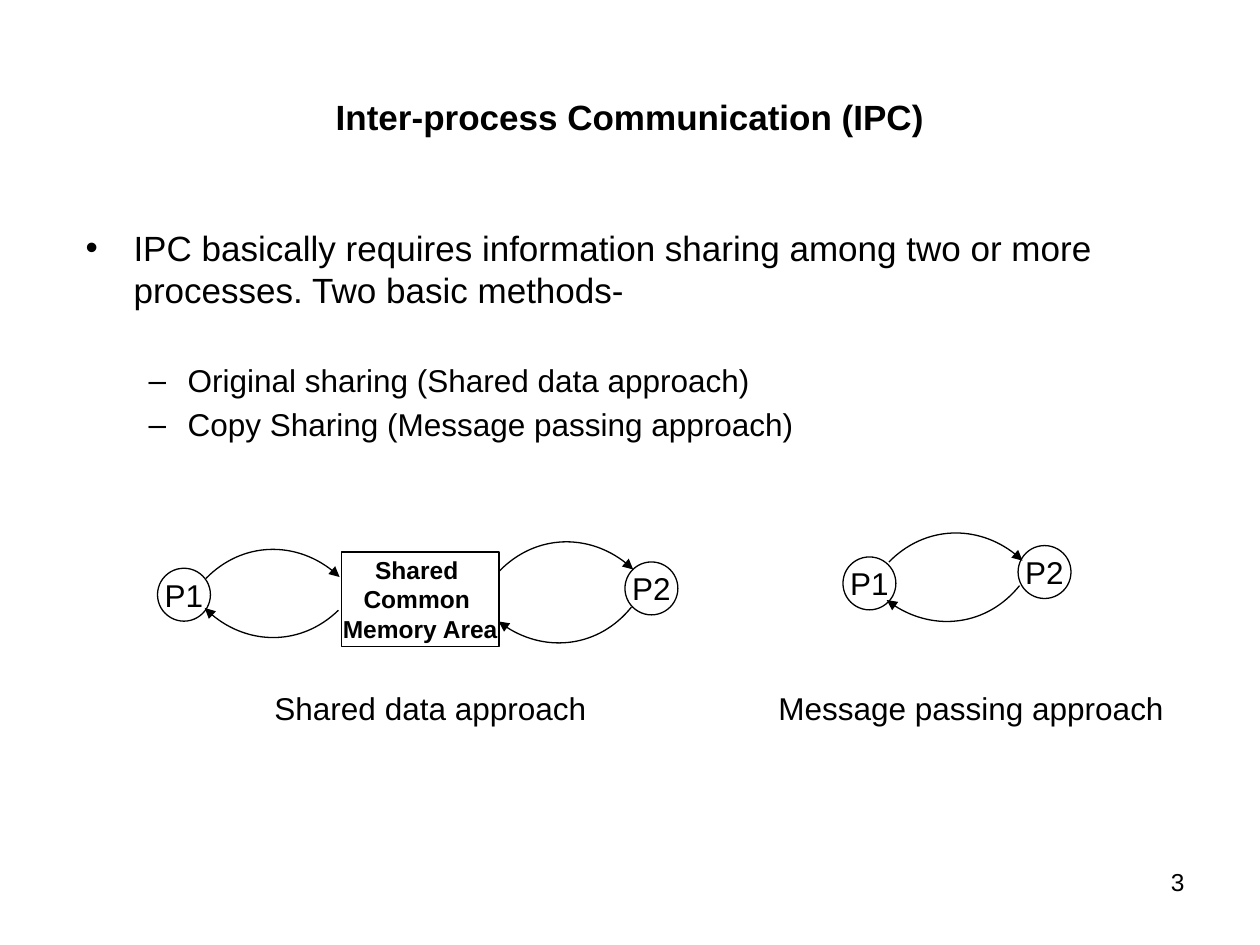
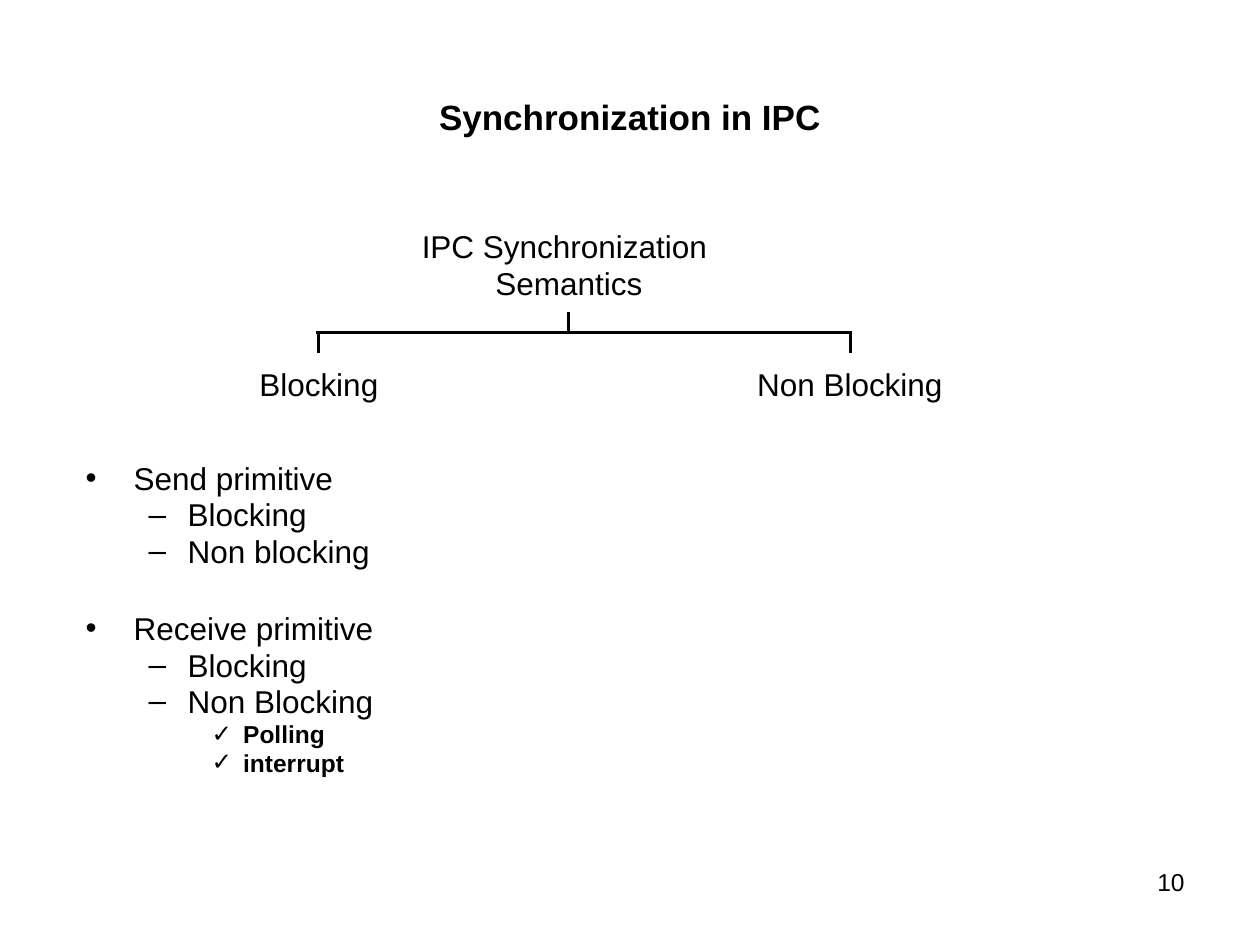
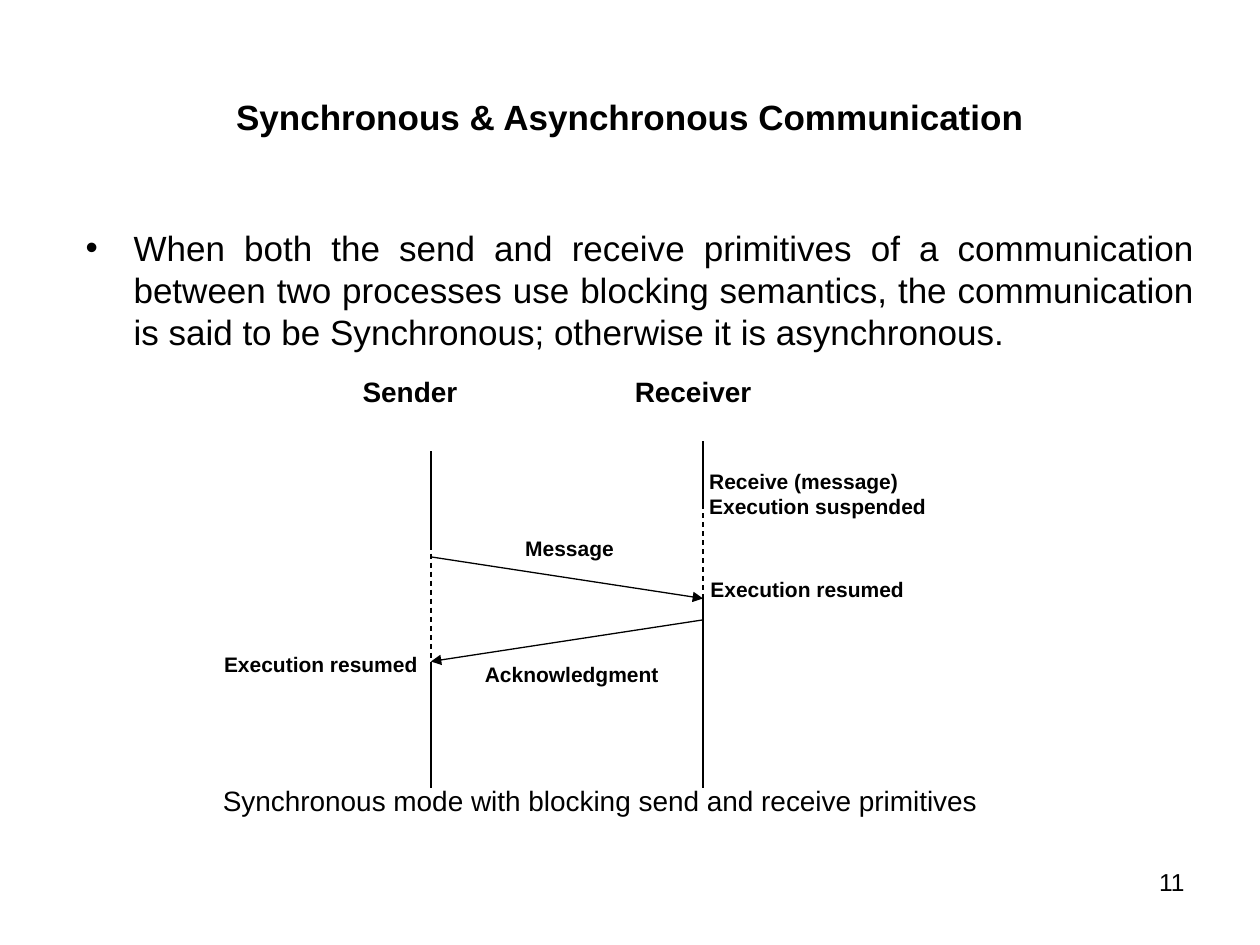
import pptx
import pptx.util
import pptx.dml.color
import pptx.enum.dml
import pptx.enum.shapes
import pptx.enum.text
import pptx.oxml
import pptx.oxml.ns

Inches = pptx.util.Inches
Pt = pptx.util.Pt
ALIGN = pptx.enum.text.PP_ALIGN
ANCHOR = pptx.enum.text.MSO_ANCHOR
FIT = pptx.enum.text.MSO_AUTO_SIZE
SHAPE = pptx.enum.shapes.MSO_SHAPE
qn = pptx.oxml.ns.qn

# Bullet sign, text indent and hanging indent of each list level
LEVELS = [("\u2022", 0.38, 0.38), ("\u2013", 0.81, 0.31), ("\u2713", 1.25, 0.25)]


def color(value):
    return pptx.dml.color.RGBColor.from_string(value)


def add_child(parent, tag, **attributes):
    child = parent.makeelement(qn(tag), attributes)
    parent.append(child)
    return child


class Deck:
    font = "Arial"
    ink = "000000"
    thin = 0.75
    circle = 0.42
    arc = 0.75

    def __init__(self):
        self.file = pptx.Presentation()
        self.file.slide_width = Inches(10)
        self.file.slide_height = Inches(7.5)
        self.page = None

    def span(self, para, text, size, bold=False):
        span = para.add_run()
        span.text = text
        span.font.name = self.font
        span.font.size = Pt(size)
        span.font.bold = bold
        span.font.color.rgb = color(self.ink)

    def lines(self, frame, texts, size, bold=False, align=ALIGN.LEFT):
        for index, text in enumerate(texts):
            para = frame.add_paragraph() if index else frame.paragraphs[0]
            para.alignment = align
            self.span(para, text, size, bold)

    def place(self, box, left, top, width, height):
        box.left, box.top = Inches(left), Inches(top)
        box.width, box.height = Inches(width), Inches(height)

    def new_page(self, title, number):
        self.page = self.file.slides.add_slide(self.file.slide_layouts[1])
        box = self.page.shapes.title
        self.place(box, 0.5, 0.3, 9, 1.25)
        box.text_frame.auto_size = FIT.NONE
        box.text_frame.vertical_anchor = ANCHOR.MIDDLE
        self.lines(box.text_frame, [title], 20, True, ALIGN.CENTER)
        box = self.page.shapes.add_textbox(
            Inches(7.17), Inches(6.83), Inches(2.33), Inches(0.52))
        box.text_frame.word_wrap = True
        self.lines(box.text_frame, [number], 14, align=ALIGN.RIGHT)

    def bullets(self, items, spacing=1.0, align=ALIGN.LEFT, inset=0.05):
        """Each item: level, text, size, bold, extra space before in points."""
        box = self.page.placeholders[1]
        self.place(box, 0.58, 1.75, 9, 4.95)
        frame = box.text_frame
        frame.auto_size = FIT.NONE
        frame.margin_top = Inches(inset)
        for index, (level, text, size, bold, gap) in enumerate(items):
            para = frame.add_paragraph() if index else frame.paragraphs[0]
            para.level = level
            para.alignment = align
            para.line_spacing = spacing
            para.space_before = Pt(size * 0.2 + gap)
            sign, indent, hanging = LEVELS[level]
            properties = para._p.get_or_add_pPr()
            properties.set("marL", str(Inches(indent)))
            properties.set("indent", str(-Inches(hanging)))
            add_child(properties, "a:buFont", typeface=self.font)
            add_child(properties, "a:buChar", char=sign)
            self.span(para, text, size, bold)

    def label(self, left, top, width, height, texts, size, bold=False,
              align=ALIGN.LEFT, wrap=False):
        box = self.page.shapes.add_textbox(
            Inches(left), Inches(top), Inches(width), Inches(height))
        box.text_frame.word_wrap = wrap
        box.text_frame.auto_size = FIT.SHAPE_TO_FIT_TEXT
        self.lines(box.text_frame, texts, size, bold, align)
        return box

    def outline(self, shape):
        shape.shadow.inherit = False
        shape.fill.background()
        shape.line.color.rgb = color(self.ink)
        shape.line.width = Pt(self.thin)

    def node(self, kind, left, top, width, height, texts, size, bold=False):
        shape = self.page.shapes.add_shape(
            kind, Inches(left), Inches(top), Inches(width), Inches(height))
        self.outline(shape)
        shape.text_frame.word_wrap = False
        shape.text_frame.vertical_anchor = ANCHOR.MIDDLE
        self.lines(shape.text_frame, texts, size, bold, ALIGN.CENTER)

    def process(self, left, top, name):
        self.node(SHAPE.OVAL, left, top, self.circle, self.circle, [name], 18)

    def arrowhead(self, line):
        add_child(line._get_or_add_ln(), "a:tailEnd", type="triangle")

    def arc_arrow(self, left, top, rotation):
        """A quarter circle, drawn as one Bezier curve and then turned."""
        radius, pull = self.arc, self.arc * 0.55
        points = [(pull, 0), (radius, radius - pull), (radius, radius)]
        builder = self.page.shapes.build_freeform(
            Inches(left), Inches(top), scale=1.0)
        builder.add_line_segments(
            [(Inches(left + x), Inches(top + y)) for x, y in points], close=False)
        shape = builder.convert_to_shape()
        outline_path = shape._element.spPr.find(".//" + qn("a:path"))
        segments = outline_path.findall(qn("a:lnTo"))
        curve = add_child(outline_path, "a:cubicBezTo")
        for segment in segments:
            curve.append(segment[0])
            outline_path.remove(segment)
        shape.rotation = rotation
        self.outline(shape)
        self.arrowhead(shape.line)

    def line(self, x1, y1, x2, y2, width=thin, dashed=False, arrow=False):
        line = self.page.shapes.add_connector(
            pptx.enum.shapes.MSO_CONNECTOR.STRAIGHT,
            Inches(x1), Inches(y1), Inches(x2), Inches(y2))
        line.line.color.rgb = color(self.ink)
        line.line.width = Pt(width)
        if dashed:
            line.line.dash_style = pptx.enum.dml.MSO_LINE.DASH
        if arrow:
            self.arrowhead(line.line)
        add_child(line._element.spPr, "a:effectLst")


deck = Deck()

# Slide 1: the two ways of sharing information
deck.new_page("Inter-process Communication (IPC)", "3")
deck.bullets([
    (0, "IPC basically requires information sharing among two or more "
        "processes. Two basic methods-", 20, False, 0),
    (1, "Original sharing (Shared data approach)", 18, False, 25.2),
    (1, "Copy Sharing (Message passing approach)", 18, False, 0),
])
for left, top, name in [(1.25, 4.51, "P1"), (4.96, 4.46, "P2"),
                        (6.69, 4.42, "P1"), (8.08, 4.33, "P2")]:
    deck.process(left, top, name)
deck.node(SHAPE.RECTANGLE, 2.71, 4.38, 1.25, 0.75,
          ["Shared ", "Common ", "Memory Area"], 14, True)
for left, top, rotation in [(1.79, 4.21, 314.4), (4.12, 4.15, 314.4),
                            (1.78, 4.46, 136), (4.11, 4.5, 128.8),
                            (7.21, 4.08, 314.4), (7.19, 4.33, 128.8)]:
    deck.arc_arrow(left, top, rotation)
deck.label(2.08, 5.42, 2.69, 0.4, ["Shared data approach"], 18)
deck.label(6.08, 5.42, 3.28, 0.4, ["Message passing approach"], 18)

# Slide 2: tree of synchronization semantics and list of primitives
deck.new_page("Synchronization in IPC", "10")
deck.bullets([
    (0, "Send primitive", 18, False, 0),
    (1, "Blocking", 18, False, 0),
    (1, "Non blocking", 18, False, 0),
    (0, "Receive primitive", 18, False, 23.2),
    (1, "Blocking", 18, False, 0),
    (1, "Non Blocking", 18, False, 0),
    (2, "Polling", 14, True, 0),
    (2, "interrupt", 14, True, 0),
], spacing=0.8, inset=1.95)
deck.label(3.23, 1.75, 2.57, 0.7, ["IPC Synchronization ", "Semantics"], 18,
           align=ALIGN.CENTER)
deck.line(2.51, 2.64, 6.76, 2.64, 1.5)
deck.line(4.51, 2.48, 4.51, 2.64, 1.5)
for x in (2.53, 6.75):
    deck.line(x, 2.63, x, 2.8, 1.5)
deck.label(1.96, 2.85, 1.17, 0.4, ["Blocking"], 18)
deck.label(5.91, 2.85, 1.69, 0.4, ["Non Blocking"], 18)

# Slide 3: message sequence between sender and receiver
deck.new_page("Synchronous & Asynchronous Communication", "11")
deck.bullets([
    (0, "When both the send and receive primitives of a communication between "
        "two processes use blocking semantics, the communication is said to be "
        "Synchronous; otherwise it is asynchronous.", 20, False, 0),
], align=ALIGN.JUSTIFY)
sender, receiver = 3.42, 5.58
for x, start, end, dashed in [
        (sender, 3.58, 4.33, False), (sender, 4.25, 5.25, True),
        (sender, 5.25, 6.25, False), (receiver, 3.5, 4, False),
        (receiver, 4, 4.83, True), (receiver, 4.75, 6.25, False)]:
    deck.line(x, start, x, end, dashed=dashed)
deck.line(sender, 4.42, receiver, 4.75, arrow=True)
deck.line(receiver, 4.92, sender, 5.25, arrow=True)
deck.label(2.78, 2.92, 0.96, 0.37, ["Sender "], 16, True)
deck.label(4.94, 2.92, 1.14, 0.37, ["Receiver "], 16, True)
for left, top, width, height, texts in [
        (5.53, 3.67, 1.95, 0.5, ["Receive (message)", "Execution suspended"]),
        (5.54, 4.53, 1.76, 0.3, ["Execution resumed"]),
        (4.07, 4.2, 0.92, 0.3, ["Message"]),
        (3.75, 5.2, 1.6, 0.3, ["Acknowledgment"]),
        (1.68, 5.12, 1.76, 0.3, ["Execution resumed"])]:
    deck.label(left, top, width, height, texts, 12, True)
deck.label(1.67, 6.17, 7, 0.37,
           ["Synchronous mode with blocking send and receive primitives"], 16,
           wrap=True).text_frame.paragraphs[0].space_before = Pt(8)

deck.file.save("out.pptx")
